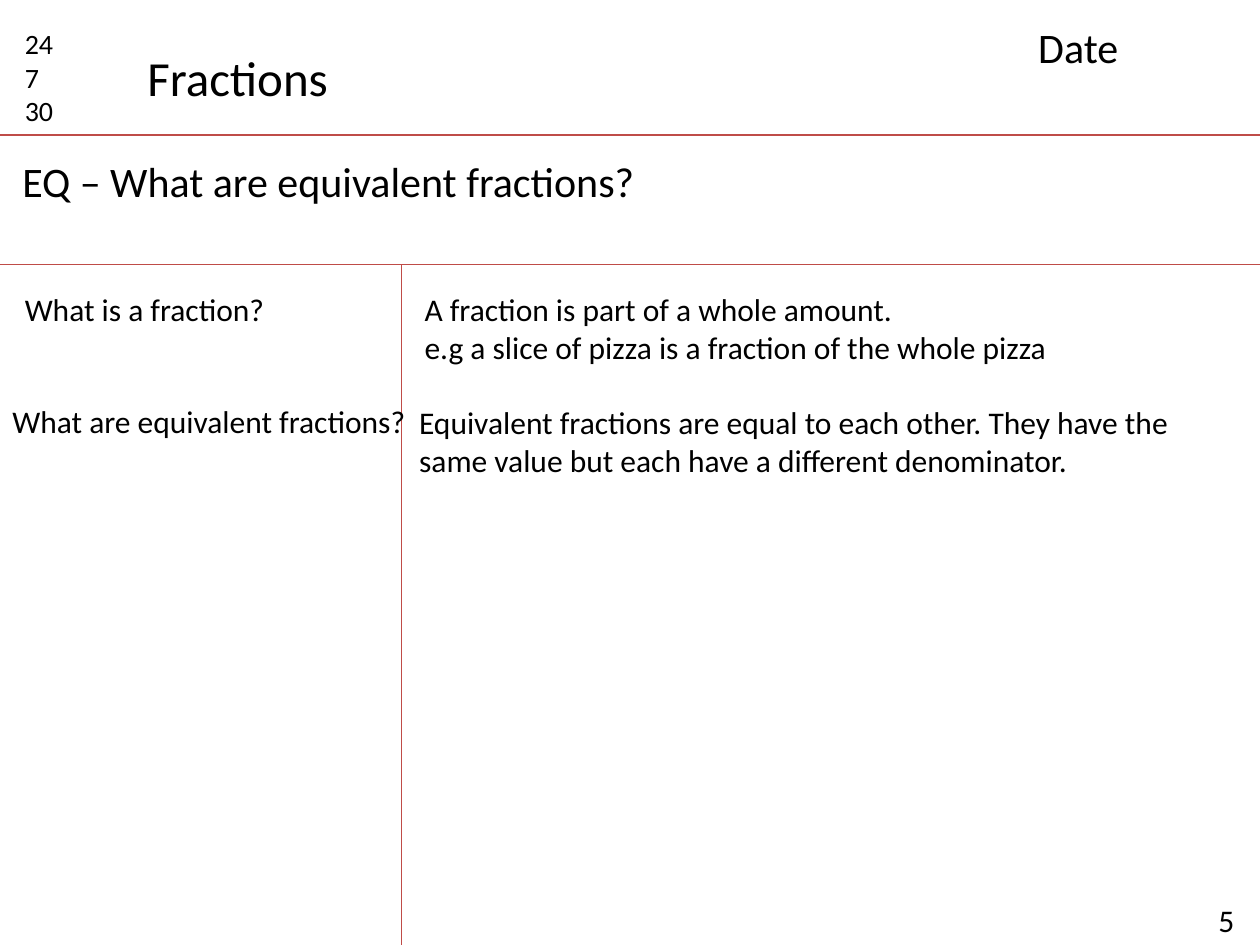
"""Build a two-column notes page about equivalent fractions."""
from dataclasses import dataclass

from lxml.etree import SubElement
from pptx import Presentation
from pptx.dml.color import RGBColor
from pptx.enum.shapes import MSO_CONNECTOR as Connector
from pptx.enum.text import MSO_AUTO_SIZE as AutoSize
from pptx.oxml.ns import qn
from pptx.slide import Slide
from pptx.util import Cm, Pt

FONT = "Calibri"
INK = "000000"
RULE_RED = "BF4C48"
PAGE_WIDTH, PAGE_HEIGHT = 25.4, 19.05
HEADER_BOTTOM, QUESTION_BOTTOM = 2.72, 5.33
COLUMN_EDGE, COLUMN_BOTTOM = 8.1, 19.53


@dataclass(frozen=True)
class Rule:
    left: float
    top: float
    right: float
    bottom: float


@dataclass(frozen=True)
class Note:
    text: str
    left: float
    top: float
    width: float
    height: float
    size: int = 18
    wrap: bool = True


RULES = [
    Rule(0, HEADER_BOTTOM, PAGE_WIDTH, HEADER_BOTTOM),
    Rule(0, QUESTION_BOTTOM, PAGE_WIDTH, QUESTION_BOTTOM),
    Rule(COLUMN_EDGE, QUESTION_BOTTOM, COLUMN_EDGE, COLUMN_BOTTOM),
]

NOTES = [
    Note("5", 24.31, 18.03, 1.52, 1.02),
    Note("24\n7\n30", 0.25, 0.41, 1.6, 2.31, size=16),
    Note("Date", 20.68, 0.3, 4.39, 1.27, size=24),
    Note("Fractions", 2.72, 0.84, 4.19, 1.45, size=28, wrap=False),
    Note("EQ – What are equivalent fractions?", 0.2, 3.02, 22.61, 1.27, size=24),
    Note("What is a fraction?", 0.25, 5.72, 7.65, 1.02),
    Note(
        "A fraction is part of a whole amount.\n"
        "e.g a slice of pizza is a fraction of the whole pizza",
        8.31, 5.72, 16.76, 1.8,
    ),
    Note("What are equivalent fractions?", 0, 7.98, 8.84, 1.02),
    Note(
        "Equivalent fractions are equal to each other. They have the same value "
        "but each have a different denominator.",
        8.2, 8, 16.87, 1.8,
    ),
]


def color(code: str) -> RGBColor:
    """Turn a hex string into a colour."""
    return RGBColor.from_string(code)


def format_text(frame, text: str, *, size: int, fill: str = INK, wrap: bool = True) -> None:
    """Fill a text frame with one paragraph per line of text."""
    frame.word_wrap = wrap
    frame.auto_size = AutoSize.SHAPE_TO_FIT_TEXT
    frame.text = text
    for para in frame.paragraphs:
        for span in para.runs:
            span.font.name = FONT
            span.font.size = Pt(size)
            span.font.color.rgb = color(fill)


def draw_rule(page: Slide, rule: Rule) -> None:
    """Draw one thin ruled line."""
    line = page.shapes.add_connector(
        Connector.STRAIGHT, Cm(rule.left), Cm(rule.top), Cm(rule.right), Cm(rule.bottom)
    )
    line.line.color.rgb = color(RULE_RED)
    line.line.width = Pt(0.75)
    SubElement(line._element.spPr, qn("a:effectLst"))


def draw_note(page: Slide, note: Note) -> None:
    """Draw one text box."""
    box = page.shapes.add_textbox(
        Cm(note.left), Cm(note.top), Cm(note.width), Cm(note.height)
    )
    format_text(box.text_frame, note.text, size=note.size, wrap=note.wrap)


def main() -> None:
    """Build the page and save the deck."""
    deck = Presentation()
    deck.slide_width, deck.slide_height = Cm(PAGE_WIDTH), Cm(PAGE_HEIGHT)
    page = deck.slides.add_slide(deck.slide_layouts[6])
    for rule in RULES:
        draw_rule(page, rule)
    for note in NOTES:
        draw_note(page, note)
    deck.save("out.pptx")


if __name__ == "__main__":
    main()
